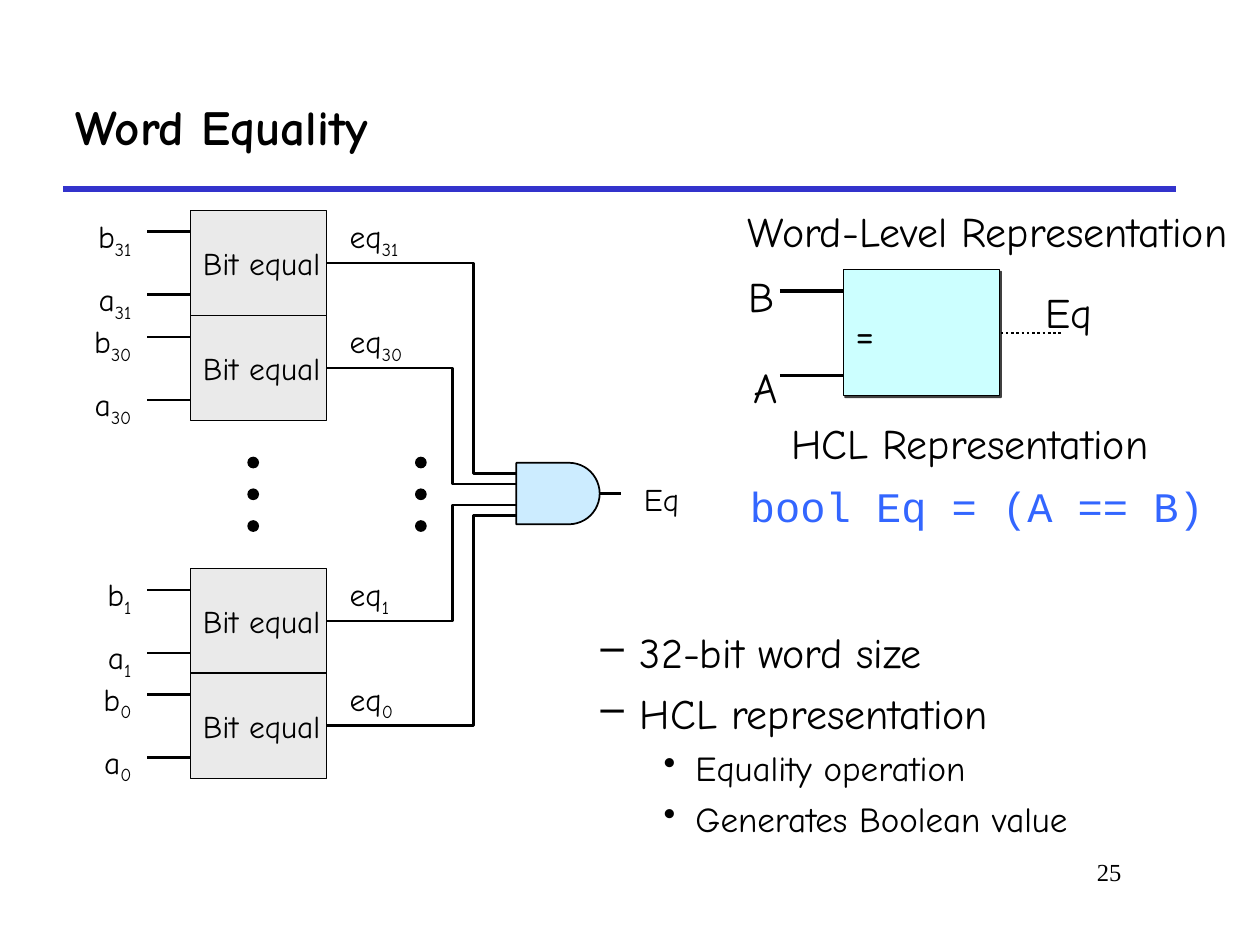
from math import cos, pi, sin

from lxml import etree
from pptx import Presentation
from pptx.dml.color import RGBColor
from pptx.enum.dml import MSO_LINE
from pptx.enum.shapes import MSO_CONNECTOR, MSO_SHAPE
from pptx.enum.text import MSO_ANCHOR, MSO_AUTO_SIZE, PP_ALIGN
from pptx.oxml import parse_xml
from pptx.oxml.ns import nsdecls, qn
from pptx.util import Cm, Pt

STRAIGHT = MSO_CONNECTOR.STRAIGHT
RECTANGLE, OVAL = MSO_SHAPE.RECTANGLE, MSO_SHAPE.OVAL
TOP, MIDDLE = MSO_ANCHOR.TOP, MSO_ANCHOR.MIDDLE
LEFT, RIGHT = PP_ALIGN.LEFT, PP_ALIGN.RIGHT
NO_AUTOFIT = MSO_AUTO_SIZE.NONE
DOTTED = MSO_LINE.ROUND_DOT

BLACK = RGBColor(0x00, 0x00, 0x00)
RULE_BLUE = RGBColor(0x33, 0x33, 0xCC)
CODE_BLUE = RGBColor(0x33, 0x66, 0xFF)
BIT_GREY = RGBColor(0xEA, 0xEA, 0xEA)
GATE_BLUE = RGBColor(0xCC, 0xEC, 0xFF)
WORD_CYAN = RGBColor(0xCC, 0xFF, 0xFF)
FONT, CODE_FONT, NUMBER_FONT = "Comic Neue", "Courier New", "Times New Roman"

BOX_LEFT, BOX_WIDTH, BOX_HEIGHT = 3.84, 2.74, 2.12
GATE_LEFT, GATE_MIDDLE, GATE_RADIUS = 10.41, 9.95, 0.62
# bit, box top, wire bend x, gate input y
BITS = [("31", 4.24, 9.55, 9.55), ("30", 6.36, 9.12, 9.76),
        ("1", 11.46, 9.12, 10.18), ("0", 13.57, 9.55, 10.39)]


def style_run(run, size, color=BLACK, font=FONT, bold=False):
    """Set the character formatting of one run."""
    run.font.size, run.font.name, run.font.bold = Pt(size), font, bold
    run.font.color.rgb = color


def set_text(shape, text, size, subscript="", align=LEFT, anchor=TOP,
             wrap=True, inset=0.25, before=0, **style):
    """Fill a shape with one paragraph and an optional subscript."""
    frame = shape.text_frame
    frame.auto_size, frame.word_wrap = NO_AUTOFIT, wrap
    frame.vertical_anchor = anchor
    frame.margin_left = frame.margin_right = Cm(inset)
    frame.margin_top = frame.margin_bottom = Cm(0.13)
    frame.text = text
    paragraph = frame.paragraphs[0]
    paragraph.alignment, paragraph.space_before = align, Pt(before)
    if subscript:
        run = paragraph.add_run()
        run.text = subscript
        run.font._element.set("baseline", "-25000")
    for run in paragraph.runs:
        style_run(run, size, **style)


def add_label(slide, text, left, top, width, height=1.3, size=24, **options):
    """Add a text box."""
    box = slide.shapes.add_textbox(Cm(left), Cm(top), Cm(width), Cm(height))
    set_text(box, text, size, **options)


def add_line(slide, start, end, width=1.5, color=BLACK, dash=None):
    """Add a straight line between two points."""
    line = slide.shapes.add_connector(STRAIGHT, *map(Cm, start + end))
    line.line.width, line.line.color.rgb = Pt(width), color
    if dash:
        line.line.dash_style = dash
    etree.SubElement(line._element.spPr, qn("a:effectLst"))


def add_block(slide, kind, left, top, width, height, fill):
    """Add a filled preset shape with a thin outline."""
    shape = slide.shapes.add_shape(kind, Cm(left), Cm(top), Cm(width), Cm(height))
    shape.shadow.inherit = False
    shape.fill.solid()
    shape.fill.fore_color.rgb = fill
    shape.line.color.rgb, shape.line.width = BLACK, Pt(0.75)
    return shape


def add_outline(slide, points, width, fill=None):
    """Add a freeform: closed when it has a fill, else an open wire."""
    points = [(Cm(x), Cm(y)) for x, y in points]
    builder = slide.shapes.build_freeform(*points[0])
    builder.add_line_segments(points[1:], close=fill is not None)
    shape = builder.convert_to_shape()
    shape.shadow.inherit = False
    if fill is None:
        shape.fill.background()
    else:
        shape.fill.solid()
        shape.fill.fore_color.rgb = fill
    shape.line.color.rgb, shape.line.width = BLACK, Pt(width)


def add_title(slide, text):
    """Place the title and the rule below it."""
    add_line(slide, (1.27, 3.81), (23.7, 3.81), 3, RULE_BLUE)
    title = slide.shapes.title
    title.left, title.top, title.width, title.height = map(Cm, (1.27, 1.27, 22.43, 2.54))
    set_text(title, text, 28, anchor=MIDDLE, bold=True)


def add_bit(slide, bit, top, bend, input_y):
    """Add one bit comparator with its inputs and its wire to the gate."""
    right, output_y = BOX_LEFT + BOX_WIDTH, top + BOX_HEIGHT / 2
    block = add_block(slide, RECTANGLE, BOX_LEFT, top, BOX_WIDTH, BOX_HEIGHT, BIT_GREY)
    set_text(block, "Bit equal", 18, anchor=MIDDLE, wrap=False, before=4.5)
    for name, offset in (("b", 0), ("a", 1.27)):
        add_label(slide, name, 1.4, top + offset, 1.5, 1.14, 18,
                  subscript=bit, align=RIGHT, before=4.5)
        y = top + offset + 0.43
        add_line(slide, (2.97, y), (BOX_LEFT, y))
    add_label(slide, "eq", 6.8, top, 2.1, 1.14, 18, subscript=bit, before=4.5)
    add_outline(slide, [(right, output_y), (bend, output_y), (bend, input_y),
                        (GATE_LEFT, input_y)], 1.5)


def add_gate(slide):
    """Add the AND gate with its output."""
    center = GATE_LEFT + 1.06
    arc = [(center + GATE_RADIUS * sin(step * pi / 24),
            GATE_MIDDLE - GATE_RADIUS * cos(step * pi / 24)) for step in range(25)]
    corners = [(GATE_LEFT, GATE_MIDDLE + side * GATE_RADIUS) for side in (1, -1)]
    add_outline(slide, corners + arc, 1, GATE_BLUE)
    add_line(slide, (center + GATE_RADIUS, GATE_MIDDLE), (12.52, GATE_MIDDLE))
    add_label(slide, "Eq", 12.73, 9.55, 1.68, 1.04, 18, before=4.5)


def add_ellipsis(slide, left):
    """Add three dots in a column."""
    for index in range(3):
        add_block(slide, OVAL, left, 9.22 + 0.64 * index, 0.21, 0.21, BLACK)


def add_word_block(slide):
    """Add the word-level comparator with a small shadow."""
    block = add_block(slide, RECTANGLE, 17, 5.44, 3.15, 2.54, WORD_CYAN)
    set_text(block, "=", 24, anchor=MIDDLE, wrap=False, before=6)
    block._element.spPr.find(qn("a:effectLst")).append(parse_xml(
        f'<a:outerShdw {nsdecls("a")} dist="17780" dir="2700000" algn="ctr" rotWithShape="0">'
        '<a:srgbClr val="000000"><a:alpha val="75000"/></a:srgbClr></a:outerShdw>'))
    for y in (5.87, 7.57):
        add_line(slide, (15.72, y), (17, y), 2.25)
    add_line(slide, (20.17, 6.71), (21.44, 6.71), dash=DOTTED)
    for text, left, top in (("B", 14.83, 5.33), ("A", 14.94, 7.16), ("Eq", 20.83, 5.64)):
        add_label(slide, text, left, top, 1.5, wrap=False, before=6)


def add_bullets(slide, items):
    """Add the two-level list; each item is a level and a text."""
    levels = {1: ("–", 24, 6, 2.06, -0.79), 2: ("•", 20, 5, 3.18, -0.64)}
    box = slide.shapes.add_textbox(Cm(10.59), Cm(12.5), Cm(13.28), Cm(5.38))
    frame = box.text_frame
    frame.word_wrap = True
    frame.text = "\n".join(text for _, text in items)
    for paragraph, (level, _) in zip(frame.paragraphs, items):
        mark, size, before, margin, indent = levels[level]
        paragraph.level, paragraph.space_before = level, Pt(before)
        style_run(paragraph.runs[0], size)
        properties = paragraph._p.get_or_add_pPr()
        properties.set("marL", str(Cm(margin)))
        properties.set("indent", str(Cm(indent)))
        etree.SubElement(properties, qn("a:buChar")).set("char", mark)


def main():
    """Build the slide and save it."""
    presentation = Presentation()
    presentation.slide_width, presentation.slide_height = Cm(25.4), Cm(19.05)
    slide = presentation.slides.add_slide(presentation.slide_layouts[5])
    add_title(slide, "Word Equality")
    add_bullets(slide, [(1, "32-bit word size"), (1, "HCL representation"),
                        (2, "Equality operation"), (2, "Generates Boolean value")])
    for bit in BITS:
        add_bit(slide, *bit)
    for left in (5, 8.38):
        add_ellipsis(slide, left)
    add_gate(slide)
    add_word_block(slide)
    heading = {"inset": 0.13, "wrap": False, "before": 6}
    add_label(slide, "Word-Level Representation", 14.94, 4.01, 10.08, **heading)
    add_label(slide, "bool Eq = (A == B)", 14.99, 9.55, 9.42,
              color=CODE_BLUE, font=CODE_FONT, **heading)
    add_label(slide, "HCL Representation", 15.82, 8.28, 7.52, **heading)
    add_label(slide, "25", 19.25, 17.15, 3.61, 1.27, 14, align=RIGHT, font=NUMBER_FONT)
    presentation.save("out.pptx")


main()
